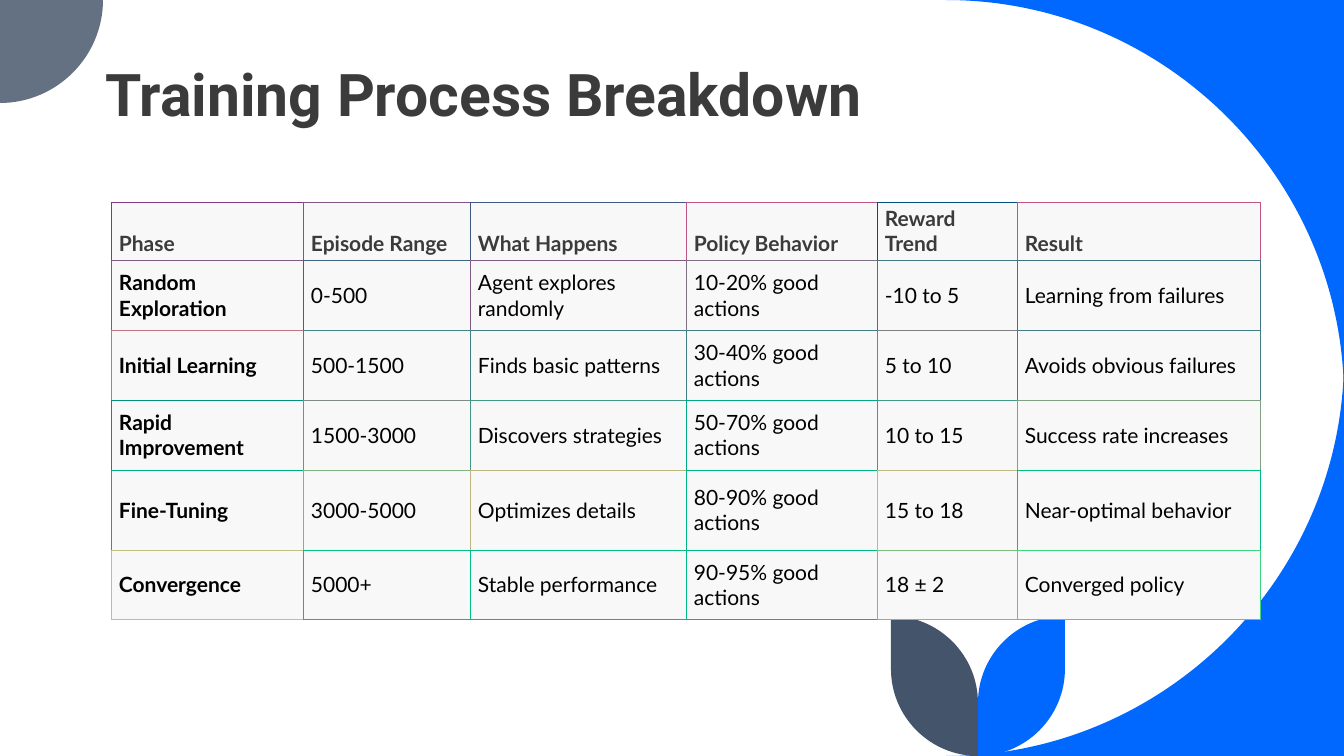
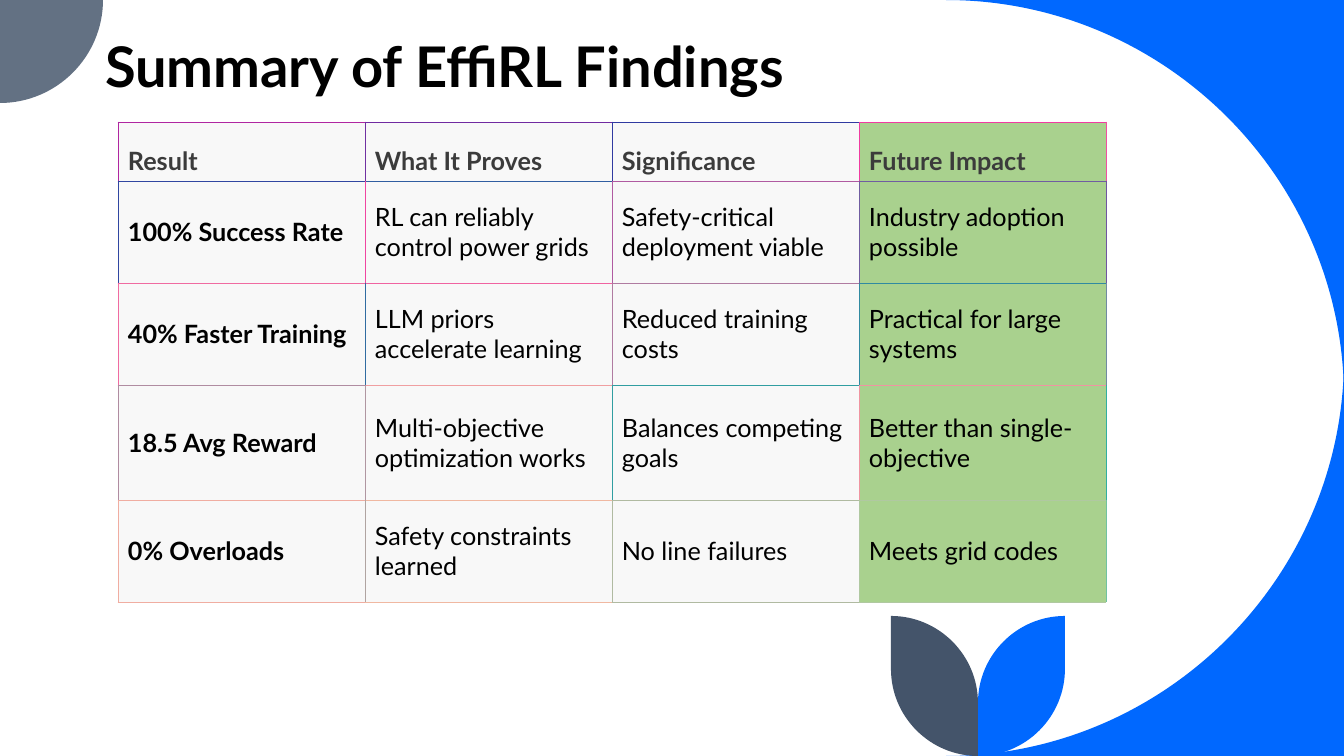
from lxml import etree
from pptx import Presentation
from pptx.dml.color import RGBColor
from pptx.enum.text import MSO_ANCHOR, MSO_AUTO_SIZE, PP_ALIGN
from pptx.oxml.ns import qn
from pptx.util import Pt

PX = 12192000 / 1344  # EMU per px
W, H = 1344, 756
BOTTOM, MIDDLE, LEFT = MSO_ANCHOR.BOTTOM, MSO_ANCHOR.MIDDLE, PP_ALIGN.LEFT
NO_FIT = MSO_AUTO_SIZE.NONE
TITLE_ONLY = 5
EDGE_WIDTH = Pt(0.6)
BODY_FONT = "Lato"
BEND = 0.55  # handle length of a quarter circle, as a share of its radius

COLORS = {
    "blue": "0068FF",
    "slate": "637183",
    "navy": "44546A",
    "heading": "3B3B3B",
    "text": "000000",
    "cell": "F8F8F8",
    "green": "A9D18E",
}

# Vertical border colours of each table row, from left edge to right edge
PHASE_EDGES = [
    "803C83 805583 405683 C05683 005083 C05583 C05583",
    "805983 406283 805983 806E83 407883 407383 407383",
    "C07383 408683 407F83 408083 807D83 407C83 407C83",
    "009183 808C83 409A83 00A883 409B83 809F83 809F83",
    "00AC83 80B583 C0B483 00B683 C0B783 00BF83 00BF83",
    "C0C183 00C083 00BD83 00BA83 80BB83 40D783 40D783",
]
FINDING_EDGES = [
    "B026A1 7030A1 303AA1 F03BA1 F050A1",
    "3046A1 F045A1 B05AA1 705CA1 7055A1",
    "F06BA1 306CA1 B07BA1 308AA1 708AA1",
    "B08CA1 B096A1 309EA1 F094A1 30AFA1",
    "F0ADA1 B0A4A1 B0BAA1 B0C8A1 70C2A1",
]
# Top border colours that differ from the left border, by column
FINDING_TOPS = {1: "702AA1 305EA1 F063A1 F09FA1 F0B8A1".split()}

PHASES = [
    ["Phase", "Episode Range", "What Happens", "Policy Behavior",
     "Reward Trend", "Result"],
    ["Random Exploration", "0-500", "Agent explores randomly",
     "10-20% good actions", "-10 to 5", "Learning from failures"],
    ["Initial Learning", "500-1500", "Finds basic patterns",
     "30-40% good actions", "5 to 10", "Avoids obvious failures"],
    ["Rapid Improvement", "1500-3000", "Discovers strategies",
     "50-70% good actions", "10 to 15", "Success rate increases"],
    ["Fine-Tuning", "3000-5000", "Optimizes details",
     "80-90% good actions", "15 to 18", "Near-optimal behavior"],
    ["Convergence", "5000+", "Stable performance",
     "90-95% good actions", "18 ± 2", "Converged policy"],
]
FINDINGS = [
    ["Result", "What It Proves", "Significance", "Future Impact"],
    ["100% Success Rate", "RL can reliably control power grids",
     "Safety-critical deployment viable", "Industry adoption possible"],
    ["40% Faster Training", "LLM priors accelerate learning",
     "Reduced training costs", "Practical for large systems"],
    ["18.5 Avg Reward", "Multi-objective optimization works",
     "Balances competing goals", "Better than single-objective"],
    ["0% Overloads", "Safety constraints learned", "No line failures",
     "Meets grid codes"],
]


def px(n):
    return round(n * PX)


def rgb(name):
    return RGBColor.from_string(COLORS[name])


def write(tf, text, size, font=BODY_FONT, color="text", bold=False,
          spacing=None):
    p = tf.paragraphs[0]
    p.alignment = LEFT
    if spacing:
        p.line_spacing = spacing
    r = p.add_run()
    r.text = text
    r.font.size, r.font.name, r.font.bold = Pt(size), font, bold
    r.font.color.rgb = rgb(color)


def quarter(start, corner, end):
    """Curve from start to end that is tangent to both sides of a corner."""
    handles = [tuple(a + BEND * (c - a) for a, c in zip(point, corner))
               for point in (start, end)]
    return [*handles, end]


def outline(s, start, segments, color):
    """Freeform of segments: one point is a line, three are a curve."""
    points = [(px(x), px(y)) for segment in segments for x, y in segment]
    builder = s.shapes.build_freeform(px(start[0]), px(start[1]), scale=1.0)
    builder.add_line_segments(points, close=True)
    sp = builder.convert_to_shape()
    sp.shadow.inherit = False
    sp.fill.solid()
    sp.fill.fore_color.rgb = rgb(color)
    sp.line.fill.background()

    # Join the three points of each curve into one Bezier segment
    lines = iter(list(sp.element.iter(qn("a:lnTo"))))
    for segment in segments:
        parts = [next(lines) for _ in segment]
        if len(parts) == 3:
            curve = etree.Element(qn("a:cubicBezTo"))
            parts[0].addprevious(curve)
            for line in parts:
                curve.append(line[0])
                line.getparent().remove(line)
    return sp


def corner_cut(s, y, height):
    """The area outside a quarter circle, at the right edge."""
    x, far = W - abs(height), y + height
    return outline(s, (W, y), [
        [(x, y)], quarter((x, y), (W, y), (W, far))], "blue")


def leaf(s, x, y, width, height, side, color):
    """A leaf whose stem is at x, opening to the given side."""
    tip, base = x + side * width, y + height
    return outline(s, (tip, y), [
        [(tip, base - width)],
        quarter((tip, base - width), (tip, base), (x, base)),
        [(x, y + width)],
        quarter((x, y + width), (x, y), (tip, y)),
    ], color)


def decorate_layout(s, layout):
    """Draw the shared shapes, then move them to the layout."""
    dot = 103
    parts = [
        corner_cut(s, 0, 398),
        corner_cut(s, H, -398),
        outline(s, (0, 0), [
            [(dot, 0)], quarter((dot, 0), (dot, dot), (0, dot))], "slate"),
        leaf(s, 978, 616, 87, 140, 1, "blue"),
        leaf(s, 978, 616, 87, 140, -1, "navy"),
    ]
    first = layout.shapes[0].element
    for number, sp in enumerate(parts, 101):
        sp.element.xpath(".//p:cNvPr")[0].set("id", str(number))
        first.addprevious(sp.element)


def add_title(s, text, box, **style):
    title = s.shapes.title
    title.left, title.top, title.width, title.height = map(px, box)
    tf = title.text_frame
    tf.word_wrap, tf.auto_size = True, NO_FIT
    tf.vertical_anchor = BOTTOM
    write(tf, text, bold=True, spacing=0.8, **style)


def set_borders(tc_pr, colors):
    for i, (side, color) in enumerate(zip("LRTB", colors)):
        ln = etree.Element(qn(f"a:ln{side}"), w=str(EDGE_WIDTH))
        fill = etree.SubElement(ln, qn("a:solidFill"))
        etree.SubElement(fill, qn("a:srgbClr"), val=color)
        tc_pr.insert(i, ln)


def add_grid(s, x, y, widths, heights, rows, edges, size, margins,
             tops=None, green_column=None):
    frame = s.shapes.add_table(len(rows), len(widths), px(x), px(y),
                               px(sum(widths)), px(sum(heights)))
    table = frame.table
    table.horz_banding = False
    for column, width in zip(table.columns, widths):
        column.width = px(width)
    for row, height in zip(table.rows, heights):
        row.height = px(height)

    # Cell text and fill
    for i, texts in enumerate(rows):
        for j, text in enumerate(texts):
            cell = table.cell(i, j)
            cell.margin_left = cell.margin_right = px(margins[0])
            cell.margin_top = cell.margin_bottom = px(margins[1])
            cell.vertical_anchor = MIDDLE if i else BOTTOM
            cell.fill.solid()
            cell.fill.fore_color.rgb = rgb(
                "green" if j == green_column else "cell")
            write(cell.text_frame, text, size, bold=i == 0 or j == 0,
                  color="text" if i else "heading")

    # Borders: neighbouring cells share the colour of their common edge
    sides = [line.split() for line in edges]
    levels = [line[:-1] for line in sides]
    for j, column in (tops or {}).items():
        for level, color in zip(levels, column):
            level[j] = color
    levels.append(levels[-1])
    for n, tc_pr in enumerate(frame.element.iter(qn("a:tcPr"))):
        i, j = divmod(n, len(widths))
        set_borders(tc_pr, (sides[i][j], sides[i][j + 1],
                            levels[i][j], levels[i + 1][j]))


def training_slide(s):
    add_title(s, "Training Process Breakdown", (95, 9, 1078, 124),
              size=42, font="Roboto", color="heading")
    add_grid(s, 111, 202, [192, 167, 216, 191, 140, 243],
             [48, 70, 70, 70, 80, 69], PHASES, PHASE_EDGES,
             size=15, margins=(8, 4))


def findings_slide(s):
    add_title(s, "Summary of EffiRL Findings", (95, -6, 1223, 109), size=40)
    add_grid(s, 118, 122, [247] * 4, [59, 102, 102, 115, 102],
             FINDINGS, FINDING_EDGES, size=18, margins=(10, 5),
             tops=FINDING_TOPS, green_column=3)


def main():
    prs = Presentation()
    prs.slide_width, prs.slide_height = px(W), px(H)
    layout = prs.slide_layouts[TITLE_ONLY]
    slides = [prs.slides.add_slide(layout) for _ in range(2)]
    decorate_layout(slides[0], layout)
    training_slide(slides[0])
    findings_slide(slides[1])
    prs.save("out.pptx")


if __name__ == "__main__":
    main()
